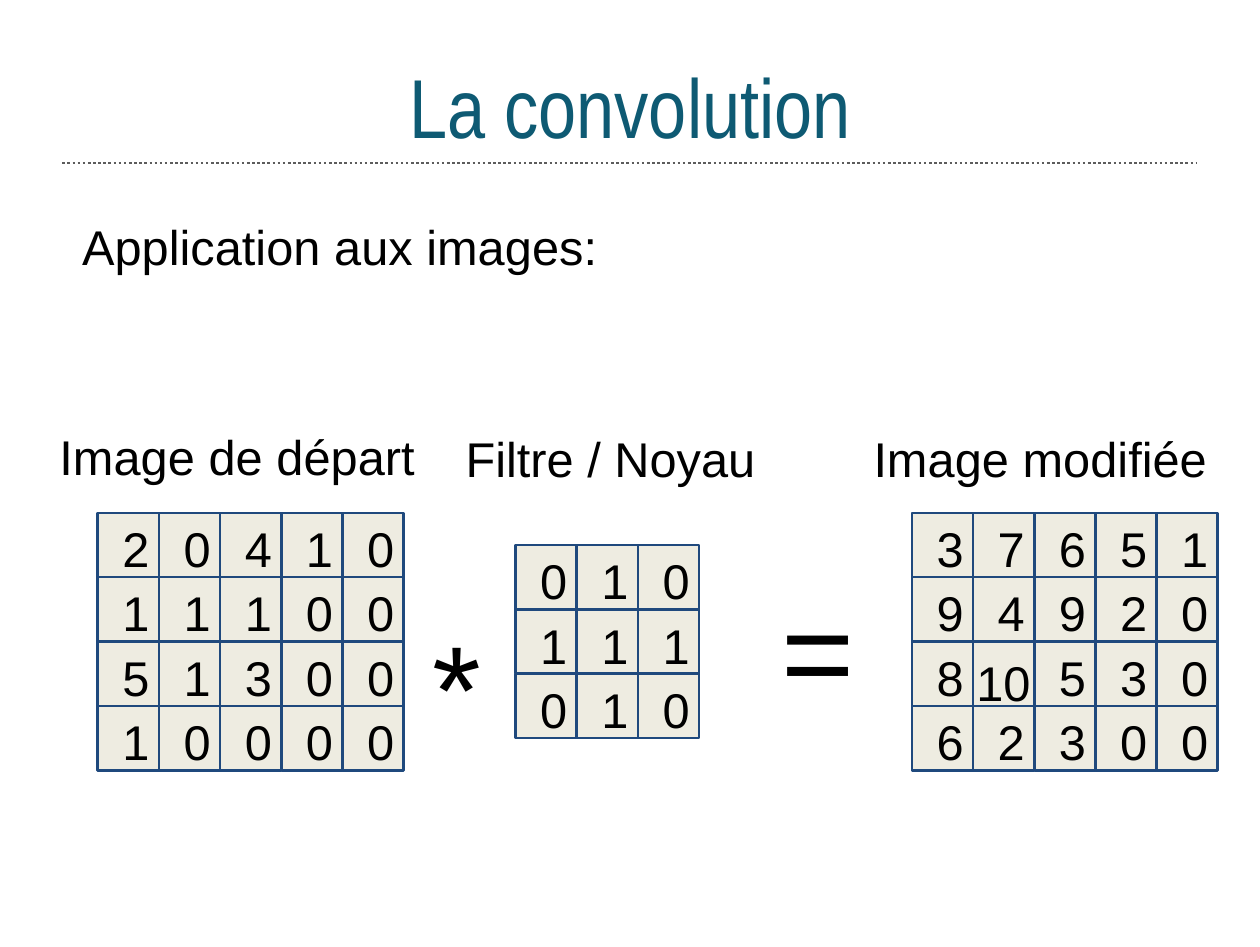
from dataclasses import dataclass

from lxml.etree import SubElement
from pptx import Presentation
from pptx.dml.color import RGBColor as RGB
from pptx.enum.dml import MSO_LINE_DASH_STYLE as DASH
from pptx.enum.shapes import MSO_CONNECTOR as CONNECTOR, MSO_SHAPE as SHAPE
from pptx.enum.text import MSO_ANCHOR as ANCHOR, PP_ALIGN as ALIGN
from pptx.oxml.ns import qn
from pptx.util import Inches, Pt


@dataclass(frozen=True)
class Theme:
    title: str = "0E5A73"
    text: str = "000000"
    rule: str = "5C5C5C"
    cell: str = "EEECE1"
    border: str = "1F497D"
    font: str = "Arial"
    title_font: str = "Arial Narrow"
    title_size: float = 24
    body_size: float = 14
    sign_size: float = 36
    line_width: float = 0.75
    line_spacing: float = 1.1
    inset: float = 0.1


def write(sp, text, *, font, size, color, spacing, inset,
          align=ALIGN.LEFT, anchor=ANCHOR.TOP):
    """Put one formatted paragraph into a shape."""
    tf = sp.text_frame
    tf.word_wrap = True
    tf.vertical_anchor = anchor
    tf.margin_left = tf.margin_right = Inches(inset)
    tf.margin_top = tf.margin_bottom = Inches(inset)
    p = tf.paragraphs[0]
    p.alignment = align
    p.line_spacing = spacing
    r = p.add_run()
    r.text = text
    r.font.name = font
    r.font.size = Pt(size)
    r.font.color.rgb = RGB.from_string(color)


class Board:
    """A slide measured in matrix cells: x and w in columns, y and h in rows."""
    COLS, ROWS = 20.6, 14.7

    def __init__(self, prs, theme):
        self.theme = theme
        self.s = prs.slides.add_slide(prs.slide_layouts[6])
        self.col = prs.slide_width / self.COLS
        self.row = prs.slide_height / self.ROWS

    def place(self, x, y):
        return round(x * self.col), round(y * self.row)

    def format(self, **changes):
        t = self.theme
        return dict(font=t.font, size=t.body_size, color=t.text,
                    spacing=t.line_spacing, inset=t.inset) | changes

    def text(self, text, x, y, w, h, **changes):
        sp = self.s.shapes.add_textbox(*self.place(x, y), *self.place(w, h))
        write(sp, text, **self.format(**changes))

    def rule(self, x1, x2, y):
        sp = self.s.shapes.add_connector(
            CONNECTOR.STRAIGHT, *self.place(x1, y), *self.place(x2, y))
        sp.line.color.rgb = RGB.from_string(self.theme.rule)
        sp.line.width = Pt(self.theme.line_width)
        sp.line.dash_style = DASH.ROUND_DOT
        SubElement(sp._element.spPr, qn("a:effectLst"))

    def cell(self, value, x, y):
        sp = self.s.shapes.add_shape(
            SHAPE.RECTANGLE, *self.place(x, y), *self.place(1, 1))
        sp.shadow.inherit = False
        sp.fill.solid()
        sp.fill.fore_color.rgb = RGB.from_string(self.theme.cell)
        sp.line.color.rgb = RGB.from_string(self.theme.border)
        sp.line.width = Pt(self.theme.line_width)
        if len(value) == 1:
            write(sp, value, **self.format(anchor=ANCHOR.MIDDLE))

    def matrix(self, rows, x, y):
        wide = []
        for i, row in enumerate(rows):
            for j, value in enumerate(row.split()):
                self.cell(value, x + j, y + i)
                if len(value) > 1:
                    wide.append((value, x + j, y + i))
        # Wider numbers need a box larger than their cell
        for value, cx, cy in wide:
            self.text(value, cx - 0.35, cy - 0.31, 1.8, 1.4)


def main():
    theme = Theme()
    prs = Presentation()
    prs.slide_width, prs.slide_height = Inches(5.03), Inches(3.78)
    board = Board(prs, theme)

    # Heading
    board.rule(1.02, 19.57, 2.53)
    board.text("La convolution", 0, 0, board.COLS, 3.11,
               font=theme.title_font, size=theme.title_size,
               color=theme.title, align=ALIGN.CENTER, anchor=ANCHOR.MIDDLE)
    board.text("Application aux images:", 0.94, 2.88, 17.94, 2.14)

    # Labels above the matrices
    for label, x, y in (("Image de départ", 0.57, 6.15),
                        ("Filtre / Noyau", 7.21, 6.18),
                        ("Image modifiée", 13.88, 6.18)):
        board.text(label, x, y, 6.63, 1.09)

    # Image * filter = result
    board.matrix(("2 0 4 1 0", "1 1 1 0 0", "5 1 3 0 0", "1 0 0 0 0"),
                 1.6, 7.96)
    board.text("*", 6.67, 8.83, 1.68, 1.75, size=theme.sign_size)
    board.matrix(("0 1 0", "1 1 1", "0 1 0"), 8.43, 8.46)
    board.text("=", 12.37, 8.67, 3.19, 2.53, size=theme.sign_size,
               anchor=ANCHOR.MIDDLE)
    board.matrix(("3 7 6 5 1", "9 4 9 2 0", "8 10 5 3 0", "6 2 3 0 0"),
                 14.91, 7.96)

    prs.save("out.pptx")


if __name__ == "__main__":
    main()
